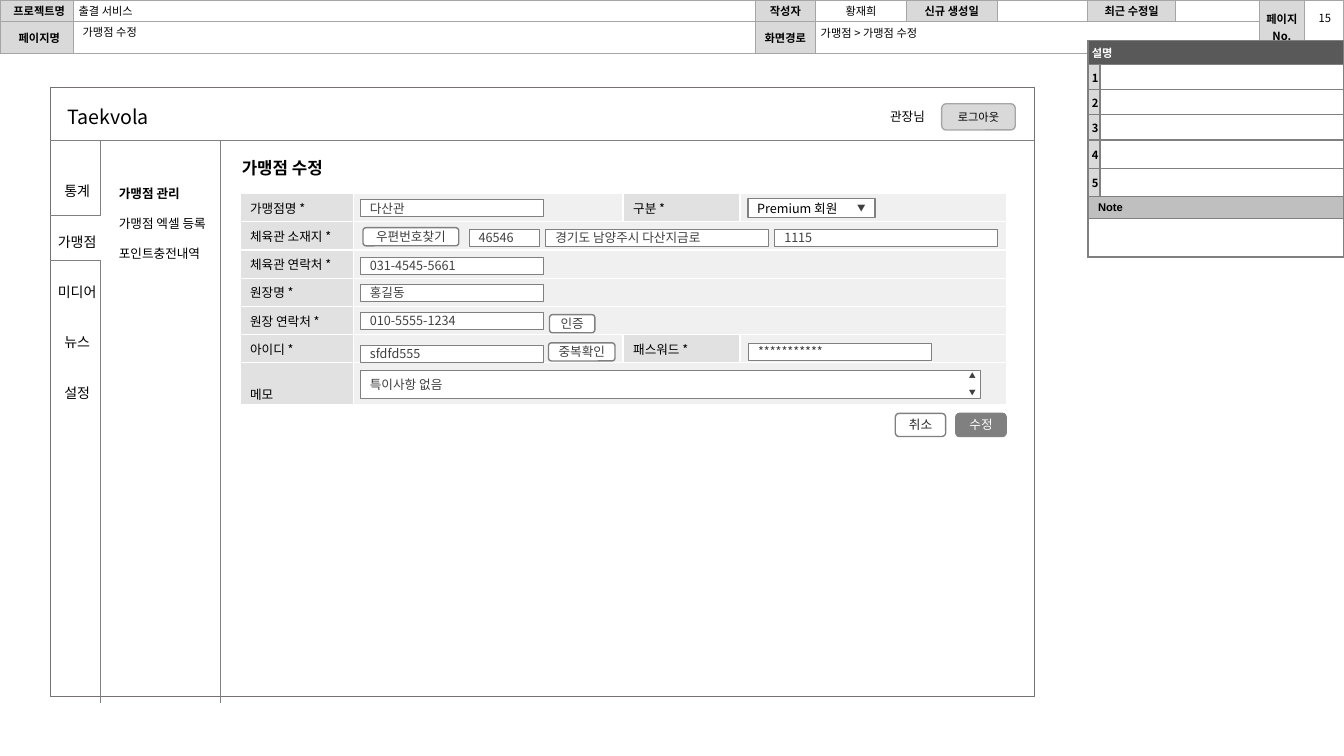
from pptx import Presentation
from pptx import util as u
from pptx.dml.color import RGBColor
from pptx.enum import shapes, text
from pptx.oxml import parse_xml
from pptx.oxml.ns import nsdecls

FONT = "Noto Sans CJK KR"
LEFT, MID = text.PP_ALIGN.LEFT, text.PP_ALIGN.CENTER
TOP, CENTER, BASE = (text.MSO_ANCHOR.TOP, text.MSO_ANCHOR.MIDDLE,
                     text.MSO_ANCHOR.BOTTOM)
RECT, ROUND = shapes.MSO_SHAPE.RECTANGLE, shapes.MSO_SHAPE.ROUNDED_RECTANGLE

deck = Presentation()
deck.slide_width, deck.slide_height = u.Inches(13.33), u.Inches(7.5)
slide = deck.slides.add_slide(deck.slide_layouts[6])


def paint(color, code):
    color.rgb = RGBColor.from_string(code)


def write(host, words, size=9, bold=False, lead=False, color="000000",
          font=FONT, align=LEFT, line=None, gap=0, pad=(.1, .05, .1, .05),
          anchor=TOP):
    """Fill a shape or cell, one paragraph per line; lead bolds the first."""
    frame = host.text_frame
    frame.word_wrap = True
    box = host if hasattr(host, "margin_left") else frame
    box.vertical_anchor = anchor
    for side, inch in zip(("left", "top", "right", "bottom"), pad):
        setattr(box, "margin_" + side, u.Inches(inch))
    for i, part in enumerate(words.split("\n")):
        para = frame.paragraphs[0] if i == 0 else frame.add_paragraph()
        para.alignment = align
        if line:
            para.line_spacing = line
        if i and gap:
            para.space_before = u.Pt(gap)
        if not part:
            para._p.get_or_add_endParaRPr().set("sz", str(size * 100))
            continue
        run = para.add_run()
        run.text = part
        run.font.size, run.font.name = u.Pt(size), font
        run.font.bold = bold or (lead and i == 0)
        paint(run.font.color, color)
        run._r.rPr.append(parse_xml(
            f'<a:ea {nsdecls("a")} typeface="{font}"/>'))


def label(x, y, w, h, words, **style):
    write(slide.shapes.add_textbox(*map(u.Inches, (x, y, w, h))),
          words, **style)


def block(x, y, w, h, kind=RECT, fill=None, edge="808080", width=1):
    shape = slide.shapes.add_shape(kind, *map(u.Inches, (x, y, w, h)))
    shape.shadow.inherit = False
    if fill:
        shape.fill.solid()
        paint(shape.fill.fore_color, fill)
    else:
        shape.fill.background()
    paint(shape.line.color, edge)
    shape.line.width = u.Pt(width)
    return shape


def field(x, y, w, words, h=.17):
    write(block(x, y, w, h, fill="FFFFFF", width=.25), words,
          color="404040", anchor=CENTER)


def button(x, y, w, h, words, fill="FFFFFF", edge="808080", size=9,
           color="404040"):
    write(block(x, y, w, h, ROUND, fill, edge), words, size=size, color=color,
          align=MID, pad=(.04, .05, .04, .05), anchor=CENTER)


def rule(x1, y1, x2, y2, color="808080"):
    line = slide.shapes.add_connector(shapes.MSO_CONNECTOR.STRAIGHT,
                                      *map(u.Inches, (x1, y1, x2, y2)))
    paint(line.line.color, color)
    line.line.width = u.Pt(.5)
    line._element.spPr.append(parse_xml(f'<a:effectLst {nsdecls("a")}/>'))


def grid(x, y, cols, rows, edge):
    table = slide.shapes.add_table(
        len(rows), len(cols),
        *map(u.Inches, (x, y, sum(cols), sum(rows)))).table
    table.first_row = table.horz_banding = False
    for col, w in zip(table.columns, cols):
        col.width = u.Inches(w)
    for row, h in zip(table.rows, rows):
        row.height = u.Inches(h)
    for cell in table.iter_cells():
        for side in ("lnL", "lnR", "lnT", "lnB"):
            cell._tc.get_or_add_tcPr().append(parse_xml(
                f'<a:{side} {nsdecls("a")} w="12700"><a:solidFill>'
                f'<a:srgbClr val="{edge}"/></a:solidFill></a:{side}>'))
    return table


def put(cell, words, fill, **style):
    cell.fill.solid()
    paint(cell.fill.fore_color, fill)
    write(cell, words, **style)


def header(x, y):
    cols = [.73, 6.76, .6, .9, .9, .9, .87, .83, .45, .39]
    table = grid(x, y, cols, [.21, .26], "A5A5A5")
    rows = [["프로젝트명", "출결 서비스", "작성자", "황재희", "신규 생성일", "",
             "최근 수정일", "", "페이지 No.", ""],
            ["페이지명", "", "화면경로"] + [""] * 7]
    for r, row in enumerate(rows):
        for c, words in enumerate(row):
            head = c % 2 == 0 and (r == 0 or c < 3)
            put(table.cell(r, c), words, "D9D9D9" if head else "FFFFFF",
                size=8, bold=head, align=LEFT if c == 1 else MID,
                pad=(.05 if c < 2 else 0, 0, 0, 0), anchor=CENTER)
    table.cell(1, 3).merge(table.cell(1, 7))
    for c in (8, 9):
        table.cell(0, c).merge(table.cell(1, c))
    slim = dict(size=8, pad=(.04, .04, .04, .04))
    label(x + .78, y + .21, 6.64, .21, "가맹점 수정", **slim)
    label(x + 8.1, y + .22, 4.32, .21, "가맹점 > 가맹점 수정", **slim)
    label(x + 12.95, y + .01, .38, .29, "15", size=8, align=MID,
          pad=(0, .12, 0, .04))


def window(x, y, w, h):
    """Outer frame with title bar, main menu and submenu."""
    bar, menu, sub = y + .52, x + .5, x + 1.69
    block(x, y, w, h, edge="767171")
    for side in (menu, sub):
        rule(side, bar, side, y + h + .06)
    rule(x, bar, x + w, bar)
    label(x + .07, y + .12, 2, .34, "Taekvola", size=14)
    label(x + w - 1.53, y + .16, .65, .25, "관장님")
    button(x + w - .92, y + .16, .73, .26, "로그아웃", "D9D9D9", "A6A6A6", 8,
           "000000")
    label(x - .08, y + .81, .69, 2.34, "통계\n가맹점\n미디어\n뉴스\n설정",
          size=10, align=MID, line=1.5, gap=18)
    for edge in (1.27, 1.71):
        rule(x, y + edge, menu, y + edge)
    rule(menu, y + 1.27, menu, y + 1.71, "FFFFFF")
    label(x + .58, y + .77, 1.31, .96,
          "가맹점 관리\n가맹점 엑셀 등록\n포인트충전내역", lead=True, line=2)
    label(sub + .11, y + .65, 2, .3, "가맹점 수정", size=12, bold=True)


def form(x, y, pitch=.28):
    """Entry table; fields sit at fractional rows of the table."""
    table = grid(x, y, [1.13, 2.67, 1.16, 2.64], [pitch] * 6 + [.41], "FFFFFF")
    names = ["가맹점명 *", "체육관 소재지 *", "체육관 연락처 *", "원장명 *",
             "원장 연락처 *", "아이디 *", "메모"]
    pairs = {0: "구분 *", 5: "패스워드 *"}
    for r, name in enumerate(names):
        last = r == len(names) - 1
        put(table.cell(r, 0), name, "E1E1E1", anchor=BASE if last else TOP,
            pad=(.1, .01 if last else .05, .1, .01))
        for c in (1, 2, 3):
            title = pairs.get(r, "") if c == 2 else ""
            put(table.cell(r, c), title, "E1E1E1" if title else "F0F0F0")
        if r not in pairs:
            table.cell(r, 1).merge(table.cell(r, 3))

    def at(row):
        return y + row * pitch

    for row, left, w, words in [
            (.21, 1.19, 1.82, "다산관"), (1.25, 2.27, .7, "46546"),
            (1.25, 3.03, 2.21, "경기도 남양주시 다산지금로"),
            (1.25, 5.3, 2.21, "1115"), (2.25, 1.19, 1.82, "031-4545-5661"),
            (3.21, 1.19, 1.82, "홍길동"), (4.21, 1.19, 1.82, "010-5555-1234"),
            (5.36, 1.19, 1.82, "sfdfd555"), (5.29, 5.04, 1.82, "***********")]:
        field(x + left, at(row), w, words)
    for row, left, w, words in [(1.21, 1.22, .95, "우편번호찾기"),
                                (4.29, 3.07, .45, "인증"),
                                (5.29, 3.06, .66, "중복확인")]:
        button(x + left, at(row), w, .18, words)
    write(block(x + 5.04, at(.18), 1.26, .19, fill="FFFFFF"), "Premium 회원",
          pad=(.09, .05, 0, .05), anchor=CENTER)
    label(x + 6.12, at(.18), .12, .19, "▼", size=6, color="404040",
          pad=(0, 0, 0, 0), anchor=CENTER)
    field(x + 1.19, at(6.25), 6.15, "특이사항 없음", h=.28)
    label(x + 7.23, at(6.32), .1, .25, "▲\n▼", size=5, color="404040", gap=6,
          pad=(0, 0, 0, 0))
    button(x + 6.5, at(7.79), .5, .23, "취소", color="262626")
    button(x + 7.1, at(7.79), .5, .23, "수정", fill="808080", color="FFFFFF")


def notes(x, y):
    """Description table with numbered rows and a note."""
    rows = [.24, .25, .25, .25, .28, .28, .22, .38]
    table = grid(x, y, [.12, 2.42], rows, "808080")
    slim = dict(size=8, bold=True, anchor=CENTER)
    for r in range(len(rows)):
        num = 0 < r < 6
        put(table.cell(r, 1), "", "FFFFFF", size=8)
        put(table.cell(r, 0), str(r) if num else "",
            "D9D9D9" if num else "FFFFFF", align=MID if num else LEFT,
            pad=(.04, .04, .04, .04), **slim)
        if not num:
            table.cell(r, 0).merge(table.cell(r, 1))
    put(table.cell(0, 0), "설명", "595959", color="FFFFFF",
        pad=(.04, .04, .1, .04), **slim)
    put(table.cell(6, 0), "Note", "BFBFBF", font="Arial",
        pad=(.1, .04, .04, .04), **slim)


header(0, 0)
window(.5, .87, 9.76, 6.04)
form(2.38, 1.92)
notes(10.79, .4)
deck.save("out.pptx")
